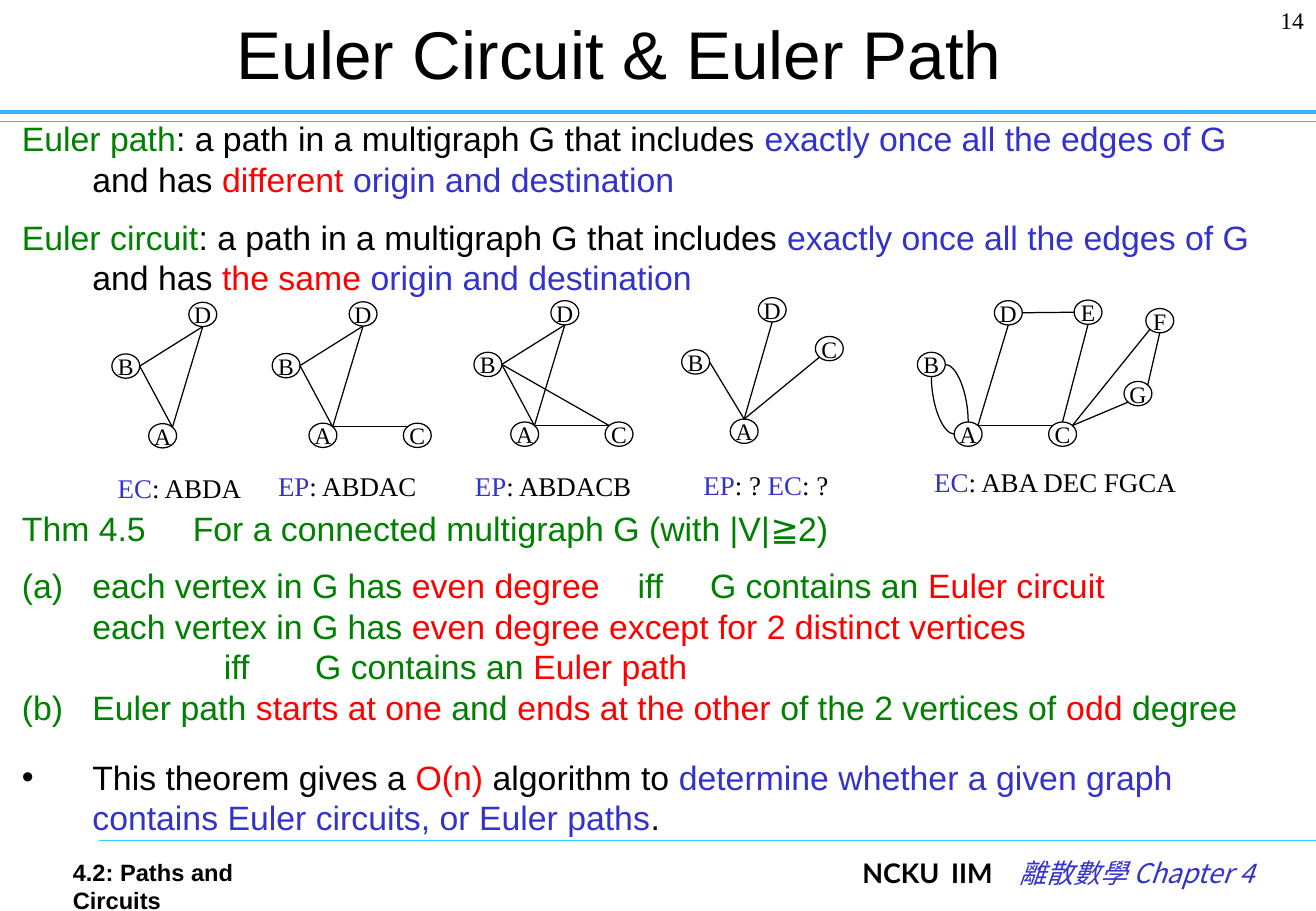
from dataclasses import dataclass

from lxml.etree import SubElement
from pptx import Presentation
from pptx.dml.color import RGBColor
from pptx.enum.shapes import MSO_CONNECTOR as Link, MSO_SHAPE as Preset
from pptx.enum.text import MSO_ANCHOR as Anchor, MSO_AUTO_SIZE as AutoSize, PP_ALIGN as Align
from pptx.oxml.ns import qn
from pptx.util import Inches, Pt

COLOURS = {
    "black": "000000", "green": "008000", "blue": "3333CC", "red": "FF0000",
    "rule": "3DB0FF", "footer rule": "33CCFF",
}
SERIF, SANS = "Times New Roman", "Arial"
HANGING = Inches(0.58)
NODE_WIDTH, NODE_HEIGHT = 2.12, 2.67
# Attachment points, as shares of a node's width and height
PORTS = {
    "n": (0.5, 0), "ne": (0.85, 0.15), "e": (1, 0.5), "s": (0.5, 1),
    "sw": (0.15, 0.85), "w": (0, 0.5), "nw": (0.15, 0.15),
}


@dataclass
class Span:
    text: str
    colour: str = "black"
    gap: float = 0  # letter spacing in points


@dataclass
class Entry:
    spans: list[Span]
    before: float = 0
    bullet: str = ""


@dataclass
class Graph:
    """Origin, node offsets and label place are percentages of the slide."""
    origin: tuple[float, float]
    nodes: dict[str, tuple[float, float]]
    edges: str
    label: list[Span]
    label_at: tuple[float, float]
    label_width: float = 14.5
    curves: str = ""


def gap(points: float) -> Span:
    return Span(" ", gap=points)


TRIANGLE = {"A": (2.8, 7.65), "B": (0, 0), "D": (5.85, -5.67)}
SQUARE = TRIANGLE | {"C": (9.97, 7.65)}
TRIANGLE_EDGES = "A:ne-D:s B:e-D:s B:e-A:ne"
EC, EP = Span("EC", "blue"), Span("EP", "blue")

GRAPHS = [
    Graph((8.5, 38.85), TRIANGLE, TRIANGLE_EDGES, [EC, Span(": ABDA")], (8.03, 51.07)),
    Graph((20.68, 38.8), SQUARE, TRIANGLE_EDGES + " A:ne-C:nw",
          [EP, Span(": ABDAC")], (20.22, 50.93)),
    Graph((36.01, 38.67), SQUARE, TRIANGLE_EDGES + " A:ne-C:nw C:nw-B:e",
          [EP, Span(": ABDACB")], (35.18, 50.93)),
    Graph((51.8, 38.4), {"A": (3.69, 7.6), "B": (0, 0), "C": (10.16, -1.47), "D": (5.82, -5.73)},
          "A:n-D:s A:n-C:sw B:e-A:n",
          [EP, Span(": ? "), EC, Span(": ?")], (52.54, 50.8)),
    Graph((69.71, 38.67), SQUARE | {"E": (11.91, -5.73), "F": (17.36, -4.8), "G": (15.7, 3.2)},
          "A:ne-C:nw A:ne-D:s E:w-D:e C:n-E:s C:ne-F:sw C:ne-G:sw G:ne-F:s",
          [EC, Span(": ABA DEC FGCA")], (70.08, 50.4), 20.5, "A:w-B:s B:e-A:n"),
]


def definition(term: str, ends: str, before: float = 0) -> Entry:
    return Entry([
        Span(term, "green"), Span(": a path in a multigraph G that includes "),
        Span("exactly once all the edges of G", "blue"), Span(" and has "),
        Span(ends, "red"), Span(" origin and destination", "blue"),
    ], before)


ENTRIES = [
    definition("Euler path", "different"),
    definition("Euler circuit", "the same", 10.4),
    Entry([Span("Thm 4.5", "green"), gap(22.2),
           Span("For a connected multigraph G (with |V|≧2)", "green")], 124.7),
    Entry([
        Span("each vertex in G has ", "green"), Span("even degree", "red"), gap(16.7),
        Span("iff", "green"), gap(22.2), Span("G contains an ", "green"),
        Span("Euler circuit\v", "red"),
        Span("each vertex in G has ", "green"),
        Span("even degree except for 2 distinct vertices\v", "red"), gap(72.3),
        Span("iff", "green"), gap(33.4), Span("G contains an ", "green"), Span("Euler path", "red"),
    ], 9.8, "(a)"),
    Entry([
        Span("Euler path ", "green"), Span("starts at one", "red"), Span(" and ", "green"),
        Span("ends at the other", "red"), Span(" of the 2 vertices of ", "green"),
        Span("odd", "red"), Span(" degree", "green"),
    ], 0, "(a)"),
    Entry([
        Span("This theorem gives a "), Span("O(n)", "red"), Span(" algorithm to "),
        Span("determine whether a given graph contains Euler circuits, or Euler paths", "blue"),
        Span("."),
    ], 17.5, "•"),
]

deck = Presentation()
deck.slide_width, deck.slide_height = Inches(10.83), Inches(7.5)
page = deck.slides.add_slide(deck.slide_layouts[1])


def across(percent: float) -> int:
    return round(deck.slide_width * percent / 100)


def down(percent: float) -> int:
    return round(deck.slide_height * percent / 100)


def place(shape, left: float, top: float, width: float, height: float) -> None:
    shape.left, shape.top = across(left), down(top)
    shape.width, shape.height = across(width), down(height)


def write(para, spans: list[Span], size: float, font: str, align=Align.LEFT) -> None:
    para.alignment = align
    para.font.size, para.font.name = Pt(size), font
    for span in spans:
        for index, line in enumerate(span.text.split("\v")):
            if index:
                para.add_line_break()
            if line:
                run = para.add_run()
                run.text = line
                run.font.color.rgb = RGBColor.from_string(COLOURS[span.colour])
                if span.gap:
                    run.font._element.set("spc", str(round(span.gap * 100)))


def add_text(at: tuple, spans: list[Span], size: float, font: str, align=Align.LEFT):
    box = page.shapes.add_textbox(across(at[0]), down(at[1]), across(at[2]), down(at[3]))
    box.text_frame.word_wrap = True
    para = box.text_frame.paragraphs[0]
    write(para, spans, size, font, align)
    return para


def add_line(start: tuple, end: tuple, colour="black", weight=0.75, kind=Link.STRAIGHT):
    line = page.shapes.add_connector(
        kind, across(start[0]), down(start[1]), across(end[0]), down(end[1]))
    line.line.color.rgb = RGBColor.from_string(COLOURS[colour])
    line.line.width = Pt(weight)
    outline = line._element.spPr
    SubElement(outline, qn("a:effectLst"))
    if kind == Link.CURVE:
        outline.find(qn("a:prstGeom")).set("prst", "curvedConnector2")


def set_bullet(para, bullet: str) -> None:
    props = para._p.get_or_add_pPr()
    props.set("marL", str(HANGING))
    props.set("indent", str(-HANGING))
    if bullet == "(a)":
        SubElement(props, qn("a:buAutoNum"), type="alphaLcParenBoth")
    elif bullet:
        SubElement(props, qn("a:buFont"), typeface=SANS)
        SubElement(props, qn("a:buChar"), char=bullet)
    else:
        SubElement(props, qn("a:buNone"))


def draw_graph(graph: Graph) -> None:
    corners = {name: (graph.origin[0] + x, graph.origin[1] + y)
               for name, (x, y) in graph.nodes.items()}

    def port(end: str) -> tuple[float, float]:
        name, side = end.split(":")
        (left, top), (x, y) = corners[name], PORTS[side]
        return left + x * NODE_WIDTH, top + y * NODE_HEIGHT

    for name, (left, top) in corners.items():
        node = page.shapes.add_shape(Preset.FLOWCHART_CONNECTOR, 0, 0, 0, 0)
        place(node, left, top, NODE_WIDTH, NODE_HEIGHT)
        node.shadow.inherit = False
        node.fill.background()
        node.line.color.rgb = RGBColor.from_string(COLOURS["black"])
        node.line.width = Pt(0.75)
        frame = node.text_frame
        frame.word_wrap, frame.vertical_anchor = False, Anchor.MIDDLE
        frame.margin_left = frame.margin_right = frame.margin_top = frame.margin_bottom = 0
        write(frame.paragraphs[0], [Span(name)], 14, SERIF, Align.CENTER)
    for edges, kind in ((graph.edges, Link.STRAIGHT), (graph.curves, Link.CURVE)):
        for edge in edges.split():
            start, end = edge.split("-")
            add_line(port(start), port(end), kind=kind)
    add_text((*graph.label_at, graph.label_width, 4.93), graph.label, 16, SERIF)


add_line((0, 13.33), (100, 13.33), "rule")
add_line((0, 12.27), (100, 12.27), "rule", 2.5)
add_line((7.5, 92.27), (100, 92.27), "footer rule")

title, body = page.shapes.title, page.placeholders[1]
place(title, 2.4, 0, 89.29, 11.47)
title.text_frame.vertical_anchor = Anchor.MIDDLE
write(title.text_frame.paragraphs[0], [Span("Euler Circuit & Euler Path")], 40, SANS, Align.CENTER)

place(body, 0.74, 12.27, 97.14, 78.93)
body.text_frame.auto_size = AutoSize.NONE
for number, entry in enumerate(ENTRIES):
    para = body.text_frame.add_paragraph() if number else body.text_frame.paragraphs[0]
    set_bullet(para, entry.bullet)
    para.line_spacing, para.space_before = Pt(24), Pt(entry.before)
    write(para, entry.spans, 20, SANS)

for graph in GRAPHS:
    draw_graph(graph)

add_text((91.69, 0, 8.31, 6.67), [Span("14")], 14, SERIF, Align.RIGHT)
add_text((4.62, 93.47, 21.14, 4.4), [Span("4.2: Paths and Circuits")], 14, SANS).font.bold = True
footer = add_text((18.37, 93.33, 77.84, 6.67), [
    Span("NCKU"), gap(3.1), Span("IIM"), gap(12), Span("離散數學 Chapter 4", "blue"),
], 16, "Lato", Align.RIGHT)
*school, course = footer.runs
for run in school:
    run.font.bold = True
course.font.italic, course.font.name = True, "Noto Sans CJK SC"
SubElement(course.font._element, qn("a:ea"), typeface="Noto Sans CJK SC")

deck.save("out.pptx")
